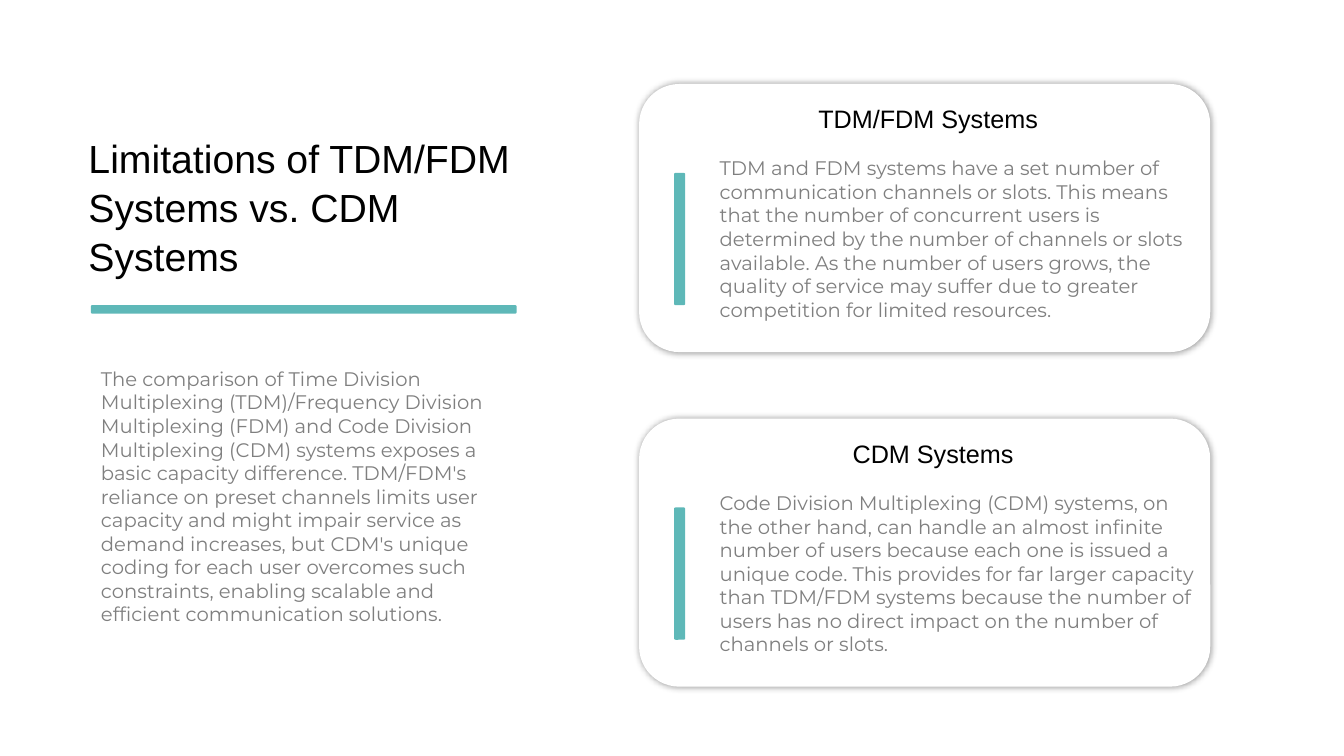
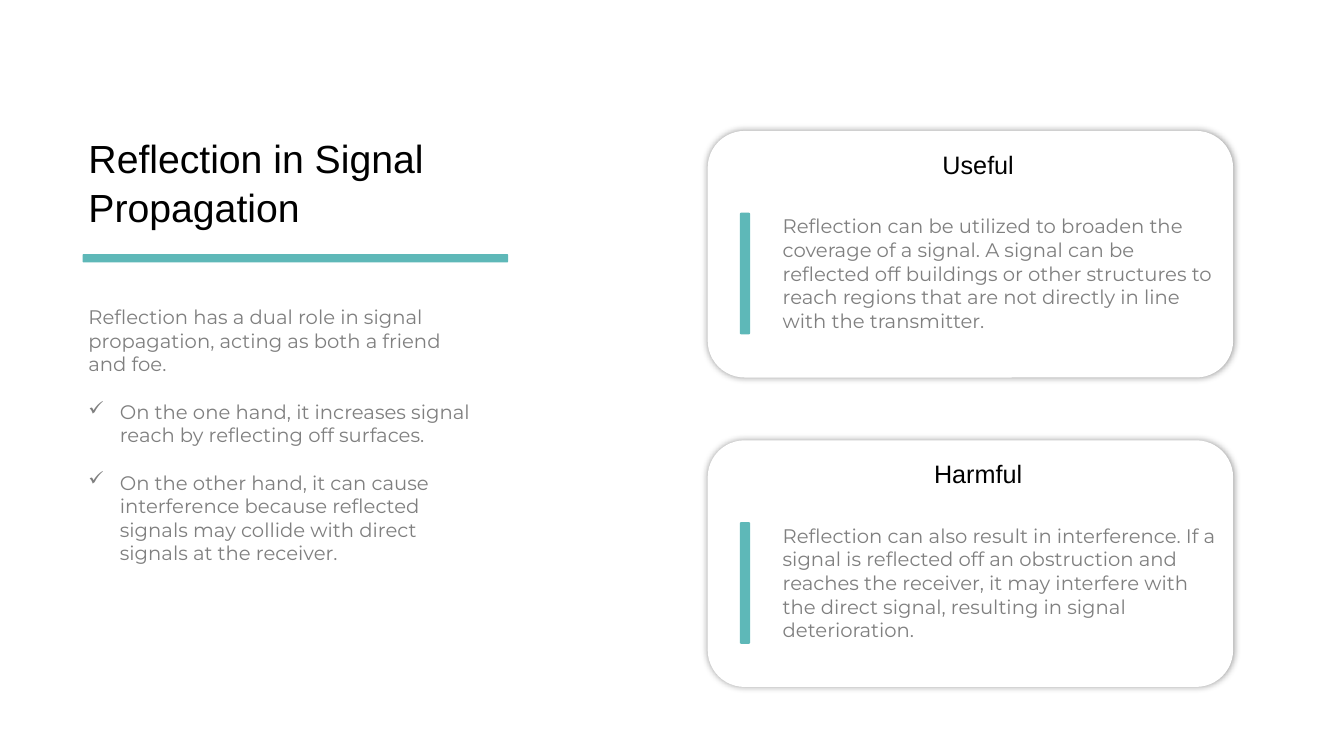
import lxml.etree
import pptx
import pptx.dml.color
import pptx.enum.shapes
import pptx.enum.text
import pptx.oxml.ns
import pptx.util

Pt = pptx.util.Pt
RGB = pptx.dml.color.RGBColor
ALIGN = pptx.enum.text.PP_ALIGN
ANCHOR = pptx.enum.text.MSO_ANCHOR
qn = pptx.oxml.ns.qn

BLACK = RGB(0x00, 0x00, 0x00)
GREY = RGB(0x7F, 0x7F, 0x7F)
TEAL = RGB(0x5E, 0xB8, 0xB8)
WHITE = RGB(0xFF, 0xFF, 0xFF)

TITLE = {"font": {"name": "Arial", "size": Pt(28)}, "color": BLACK,
         "paragraph": {"alignment": ALIGN.LEFT, "line_spacing": 1.04}}
HEADING = {"font": {"name": "Arial", "size": Pt(18)}, "color": BLACK,
           "paragraph": {"alignment": ALIGN.CENTER, "line_spacing": 1.04}}
BODY = {"font": {"name": "Montserrat", "size": Pt(14)}, "color": GREY,
        "paragraph": {"alignment": ALIGN.LEFT}}

TEXT_LEFT = 56
BODY_GAP = 17
BULLET_INDENT = 22.5
CARD_WIDTH = 408
CARD_HEIGHT = 191.5


class Deck:
    def __init__(self):
        self.prs = pptx.Presentation()
        self.prs.slide_width, self.prs.slide_height = Pt(960), Pt(540)
        self.slide = None

    def add_slide(self, title, height):
        self.slide = self.prs.slides.add_slide(self.prs.slide_layouts[5])
        sp = self.slide.shapes.title
        sp.left, sp.top, sp.width, sp.height = Pt(TEXT_LEFT), Pt(91), Pt(338), Pt(height)
        self.fill_text(sp.text_frame, [title], TITLE)

    def fill_text(self, tf, lines, style, anchor=ANCHOR.TOP, gap=0, bullets=False):
        """Fill a text frame; with bullets, every line after the first gets a tick."""
        frame_format = {"word_wrap": True, "vertical_anchor": anchor,
                        "auto_size": pptx.enum.text.MSO_AUTO_SIZE.NONE}
        for name, value in frame_format.items():
            setattr(tf, name, value)
        for i, line in enumerate(lines):
            p = tf.add_paragraph() if i else tf.paragraphs[0]
            for name, value in style["paragraph"].items():
                setattr(p, name, value)
            if i:
                p.space_before = Pt(gap)
                if bullets:
                    self.tick(p)
            r = p.add_run()
            r.text = line
            for name, value in style["font"].items():
                setattr(r.font, name, value)
            r.font.color.rgb = style["color"]

    def tick(self, p):
        pPr = p._p.get_or_add_pPr()
        pPr.set("marL", str(Pt(BULLET_INDENT)))
        pPr.set("indent", str(-Pt(BULLET_INDENT)))
        lxml.etree.SubElement(pPr, qn("a:buChar"), char="✓")

    def text(self, shapes, box, lines, style, **options):
        sp = shapes.add_textbox(*map(Pt, box))
        self.fill_text(sp.text_frame, lines, style, **options)

    def rounded(self, shapes, box, color, corner):
        sp = shapes.add_shape(pptx.enum.shapes.MSO_SHAPE.ROUNDED_RECTANGLE, *map(Pt, box))
        sp.adjustments[0] = corner
        sp.shadow.inherit = False
        sp.fill.solid()
        sp.fill.fore_color.rgb = color
        sp.line.fill.background()
        return sp

    def bar(self, shapes, box):
        self.rounded(shapes, box, TEAL, 0.14)

    def glow(self, sp):
        """Surround a shape with a soft, undisplaced shadow."""
        effects = sp._element.spPr.find(qn("a:effectLst"))
        shadow = lxml.etree.SubElement(effects, qn("a:outerShdw"), blurRad=str(Pt(5)),
                                       dist="0", dir="0", algn="ctr", rotWithShape="0")
        color = lxml.etree.SubElement(shadow, qn("a:srgbClr"), val=str(BLACK))
        lxml.etree.SubElement(color, qn("a:alpha"), val="40000")

    def rule(self, left, top):
        self.bar(self.slide.shapes, (left, top, 304, 6))

    def body(self, left, top, lines):
        self.text(self.slide.shapes, (left, top, 292, 194), lines, BODY,
                  gap=BODY_GAP, bullets=True)

    def card(self, left, top, scale, heading, body, heading_shift=6):
        """Draw a grouped card whose parts keep their proportions at any scale."""
        shapes = self.slide.shapes.add_group_shape().shapes

        def place(x, y, width, height):
            return left + x * scale, top + y * scale, width * scale, height * scale

        self.glow(self.rounded(shapes, place(0, 0, CARD_WIDTH, CARD_HEIGHT), WHITE, 0.15))
        self.bar(shapes, place(25, 63.5, 8, 94.5))
        self.text(shapes, place((CARD_WIDTH - 230) / 2 + heading_shift, 9.5, 230, 29),
                  [heading], HEADING)
        self.text(shapes, place(50.5, 47.5, CARD_WIDTH - 50.5, 126), [body], BODY,
                  anchor=ANCHOR.MIDDLE)


def main():
    deck = Deck()

    deck.add_slide("Limitations of TDM/FDM Systems vs. CDM Systems", 109)
    deck.body(65, 258.5, [
        "The comparison of Time Division Multiplexing (TDM)/Frequency Division Multiplexing "
        "(FDM) and Code Division Multiplexing (CDM) systems exposes a basic capacity "
        "difference. TDM/FDM's reliance on preset channels limits user capacity and might "
        "impair service as demand increases, but CDM's unique coding for each user overcomes "
        "such constraints, enabling scalable and efficient communication solutions."])
    deck.rule(65, 218)
    deck.card(456.5, 60, 1, "TDM/FDM Systems",
              "TDM and FDM systems have a set number of communication channels or slots. This "
              "means that the number of concurrent users is determined by the number of "
              "channels or slots available. As the number of users grows, the quality of "
              "service may suffer due to greater competition for limited resources.",
              heading_shift=2.5)
    deck.card(456.5, 299, 1, "CDM Systems",
              "Code Division Multiplexing (CDM) systems, on the other hand, can handle an "
              "almost infinite number of users because each one is issued a unique code. This "
              "provides for far larger capacity than TDM/FDM systems because the number of "
              "users has no direct impact on the number of channels or slots.")

    deck.add_slide("Reflection in Signal Propagation", 75)
    deck.body(TEXT_LEFT, 214.5, [
        "Reflection has a dual role in signal propagation, acting as both a friend and foe.",
        "On the one hand, it increases signal reach by reflecting off surfaces.",
        "On the other hand, it can cause interference because reflected signals may collide "
        "with direct signals at the receiver."])
    deck.rule(59, 181.5)
    deck.card(505.5, 93.5, 0.92, "Useful",
              "Reflection can be utilized to broaden the coverage of a signal. A signal can be "
              "reflected off buildings or other structures to reach regions that are not "
              "directly in line with the transmitter.")
    deck.card(505.5, 314.5, 0.92, "Harmful",
              "Reflection can also result in interference. If a signal is reflected off an "
              "obstruction and reaches the receiver, it may interfere with the direct signal, "
              "resulting in signal deterioration.")

    deck.prs.save("out.pptx")


if __name__ == "__main__":
    main()
